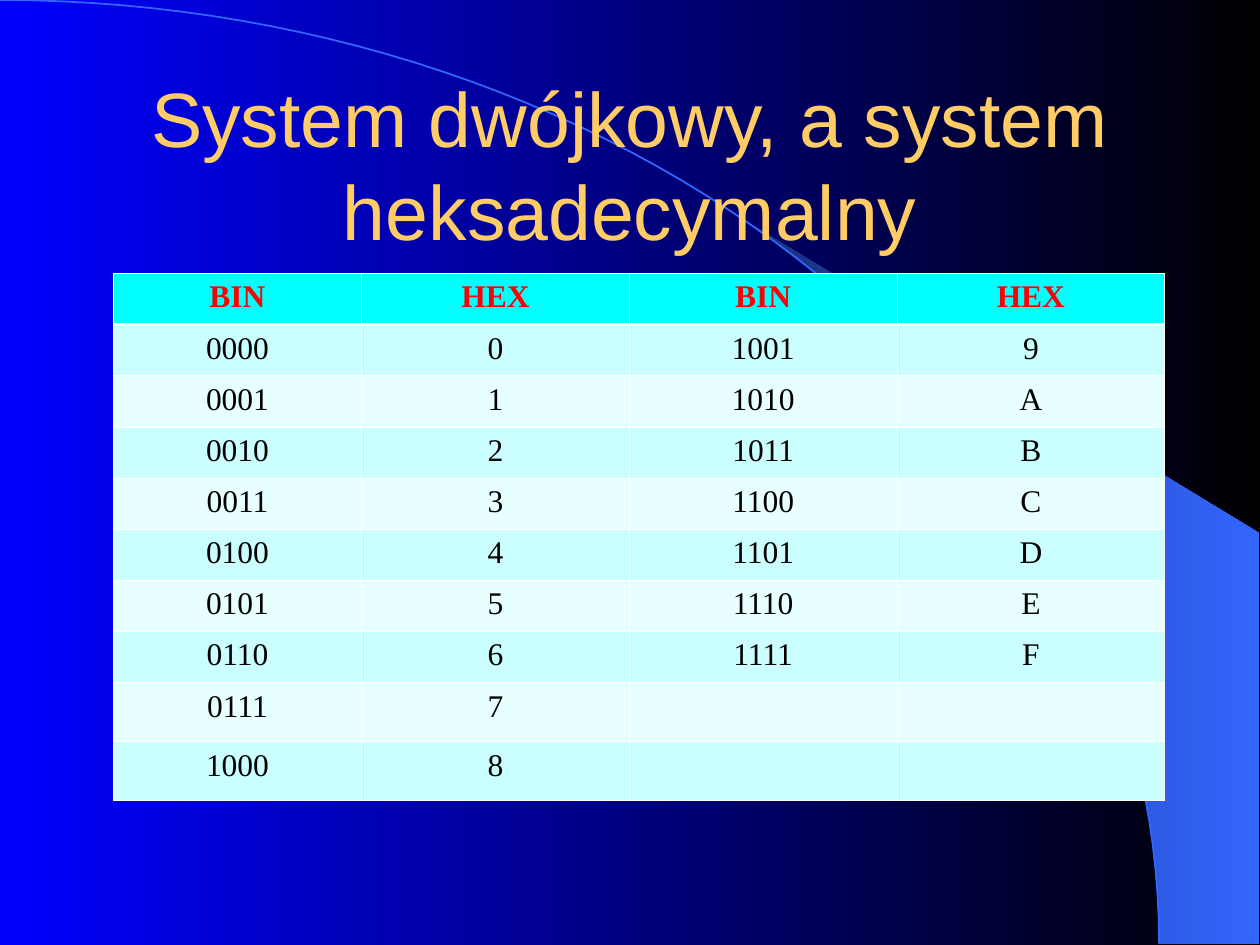
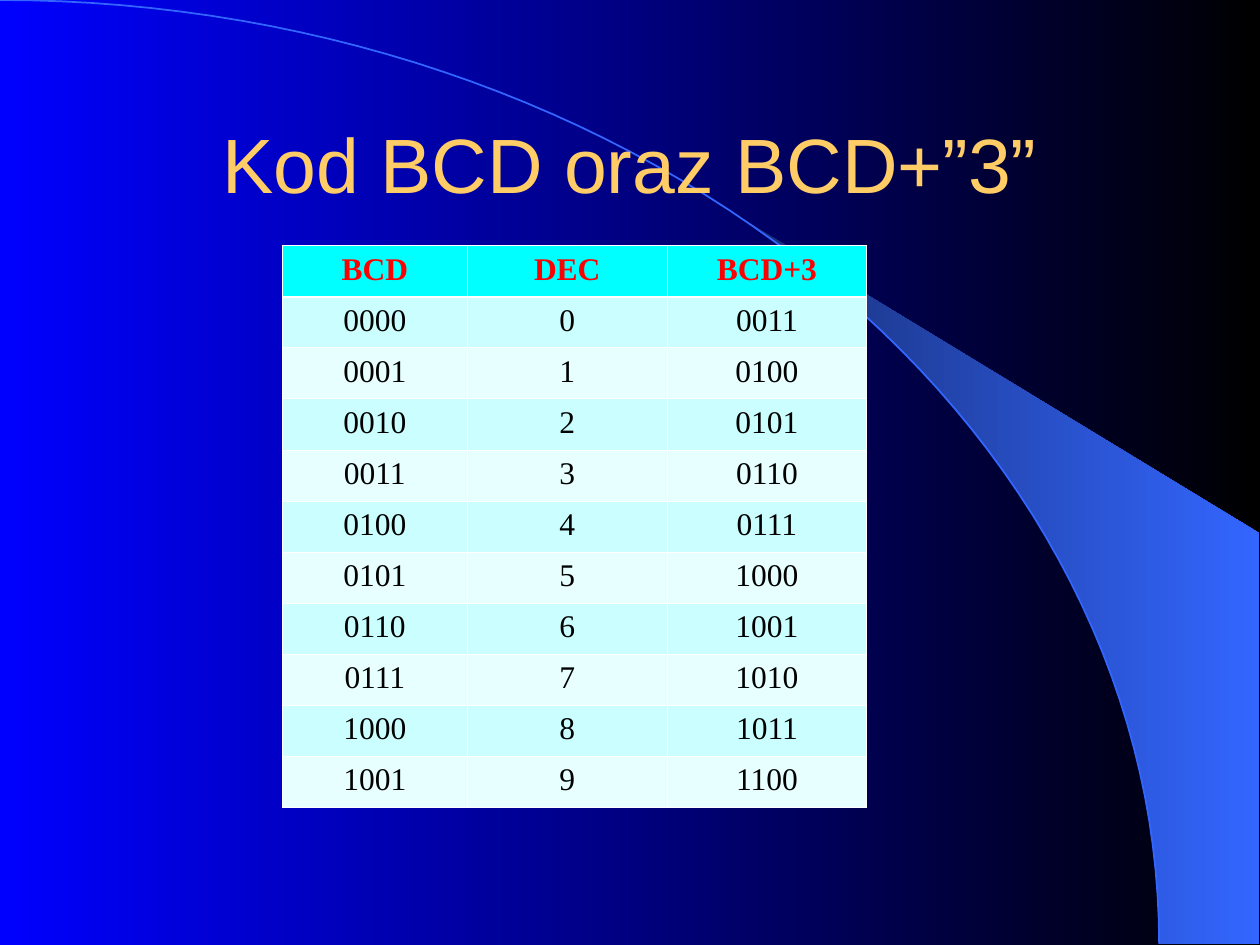
from math import asin, cos, pi, sin

from lxml import etree
from pptx import Presentation
from pptx.dml.color import RGBColor
from pptx.enum.text import MSO_ANCHOR, MSO_AUTO_SIZE, PP_ALIGN
from pptx.oxml.ns import qn
from pptx.util import Inches, Pt

MIDDLE = MSO_ANCHOR.MIDDLE
CENTER = PP_ALIGN.CENTER
FIXED = MSO_AUTO_SIZE.NONE

COLS, ROWS = 40, 30
ARC_W, ARC_H = 36.8, 29.96
EDGE, PEAK = 39.96, 16.92
BLUE, NAVY, SKY = "0000FF", "182F76", "3366FF"
BLACK, WHITE, GOLD, RED = "000000", "FFFFFF", "FFCC66", "FF0000"
CYAN, PALE, LIGHT = "00FFFF", "CBFFFF", "E7FFFF"
SANS, SERIF = "Arial", "Times New Roman"
THIN, THICK = 0.45, 1.47


def rgb(code):
    return RGBColor.from_string(code)


def fade(fill, start, end):
    fill.gradient()
    fill.gradient_angle = 0
    for stop, code, spot in zip(fill.gradient_stops, (start, end), (0, 1)):
        stop.color.rgb = rgb(code)
        stop.position = spot


def write(frame, text, font=SANS, size=18, color=BLACK, bold=False):
    """Set one centred paragraph; an empty one still keeps its font size."""
    para = frame.paragraphs[0]
    para.alignment = CENTER
    if not text:
        end = etree.SubElement(para._p, qn("a:endParaRPr"), sz=str(size * 100))
        etree.SubElement(end, qn("a:latin"), typeface=font)
        return
    run = para.add_run()
    run.text = text
    run.font.name, run.font.size, run.font.bold = font, Pt(size), bold
    run.font.color.rgb = rgb(color)


def border(cell, **widths):
    """Draw white borders; keys are the sides L, R, T and B."""
    props = cell._tc.get_or_add_tcPr()
    for side, width in widths.items():
        line = etree.SubElement(props, qn("a:ln" + side), w=str(Pt(width)))
        fill = etree.SubElement(line, qn("a:solidFill"))
        etree.SubElement(fill, qn("a:srgbClr"), val=WHITE)


def arc(start, steps=60):
    """Grid points on the quarter ellipse, from an angle down to the base."""
    turns = [start + (pi / 2 - start) * i / steps for i in range(steps + 1)]
    return [(ARC_W * sin(t), ARC_H * (1 - cos(t))) for t in turns]


class Deck:
    def __init__(self):
        self.prs = Presentation()
        self.prs.slide_width, self.prs.slide_height = Inches(10), Inches(7.5)
        self.layout = self.prs.slide_layouts[5]
        self.slide = None

    def x(self, cols):
        return round(self.prs.slide_width * cols / COLS)

    def y(self, rows):
        return round(self.prs.slide_height * rows / ROWS)

    def box(self, left, top, width, height):
        return self.x(left), self.y(top), self.x(width), self.y(height)

    def page(self, title):
        self.slide = self.prs.slides.add_slide(self.layout)
        head = self.slide.shapes.title
        head.left, head.top, head.width, head.height = self.box(3, 2.68, 34, 5)
        frame = head.text_frame
        frame.word_wrap, frame.auto_size = True, FIXED
        frame.vertical_anchor = MIDDLE
        write(frame, title, size=44, color=GOLD)

    def outline(self, points, close):
        spots = [(self.x(c), self.y(r)) for c, r in points]
        pen = self.slide.shapes.build_freeform(*spots[0])
        pen.add_line_segments(spots[1:], close=close)
        shape = pen.convert_to_shape()
        shape.shadow.inherit = False
        return shape

    def backdrop(self):
        """Draw the band and curve, then move them to the shared layout."""
        fade(self.layout.background.fill, BLUE, BLACK)
        corner = [(EDGE, ARC_H), (EDGE, PEAK)]
        band = self.outline(arc(asin(0.64)) + corner, True)
        fade(band.fill, NAVY, SKY)
        band.line.fill.background()
        curve = self.outline(arc(0), False)
        curve.fill.background()
        curve.line.color.rgb, curve.line.width = rgb(SKY), Pt(1)
        for number, shape in enumerate((band, curve), 20):
            shape.element.nvSpPr.cNvPr.id = number
            self.layout.shapes.element.append(shape.element)

    def table(self, rows, left, top, widths, height):
        area = self.box(left, top, sum(widths), height)
        grid = self.slide.shapes.add_table(len(rows), len(widths), *area).table
        for col, width in zip(grid.columns, widths):
            col.width = self.x(width)
        for r, row in enumerate(rows):
            grid.rows[r].height = self.y(height / len(rows))
            for c, text in enumerate(row):
                self.cell(grid.cell(r, c), text, r)

    def cell(self, cell, text, row):
        head = row == 0
        border(cell, L=THIN, R=THIN, T=THICK if row == 1 else THIN,
               B=THICK if head else THIN)
        cell.fill.solid()
        cell.fill.fore_color.rgb = rgb(CYAN if head else (LIGHT, PALE)[row % 2])
        write(cell.text_frame, text, font=SERIF, size=18 if text else 24,
              color=RED if head else BLACK, bold=head)


def bits(number):
    return f"{number:04b}"


def pair(number):
    return [bits(number), f"{number:X}"] if number < 16 else ["", ""]


def main():
    deck = Deck()
    deck.page("System dwójkowy, a system heksadecymalny")
    deck.backdrop()
    codes = [pair(n) + pair(n + 9) for n in range(9)]
    deck.table([["BIN", "HEX"] * 2] + codes,
               3.6, 8.68, [7.88, 8.5, 8.5, 8.5], 16.24)

    deck.page("Kod BCD oraz BCD+”3”")
    codes = [[bits(n), str(n), bits(n + 3)] for n in range(10)]
    deck.table([["BCD", "DEC", "BCD+3"]] + codes,
               8.96, 7.8, [5.88, 6.34, 6.34], 17.84)
    deck.prs.save("out.pptx")


if __name__ == "__main__":
    main()
